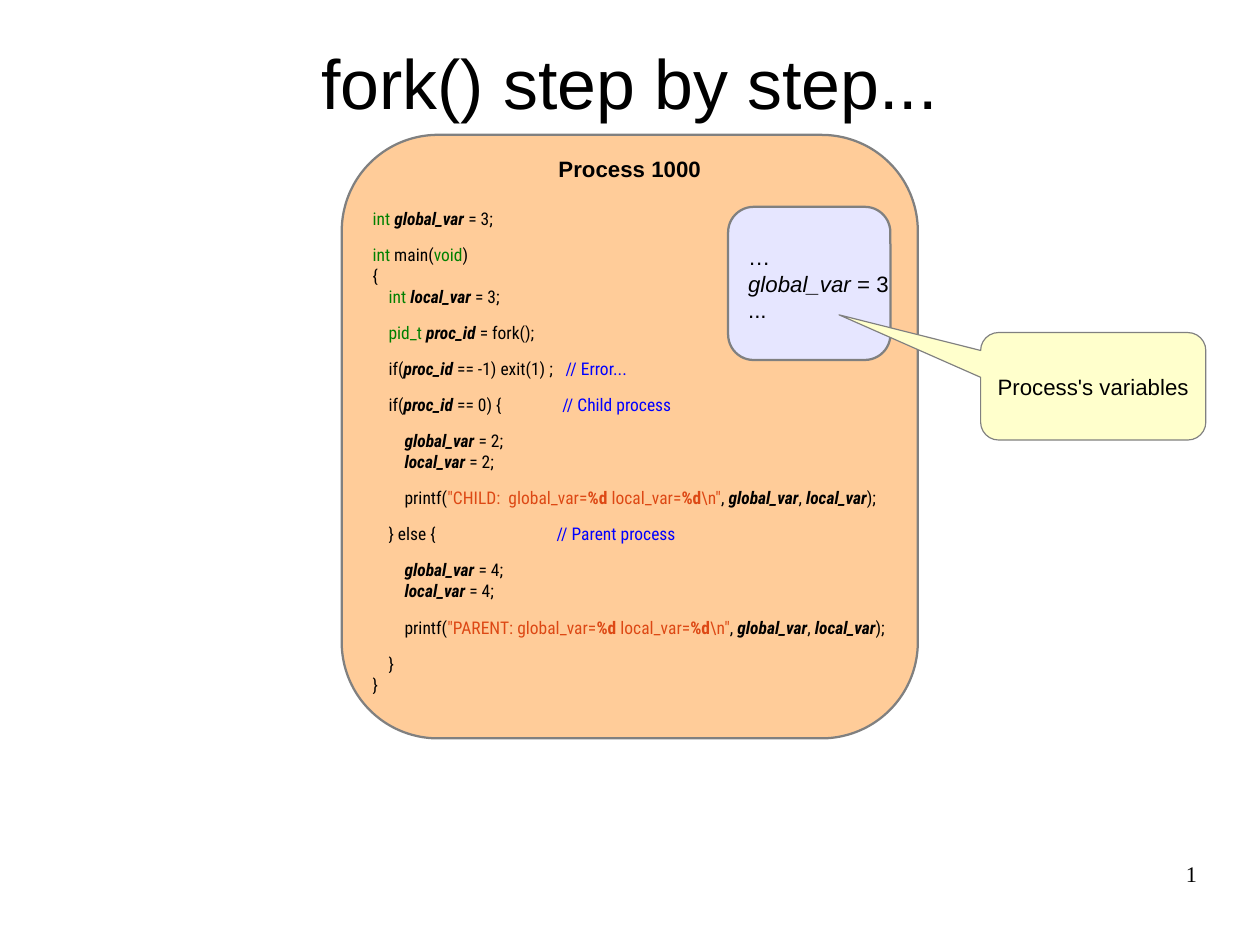
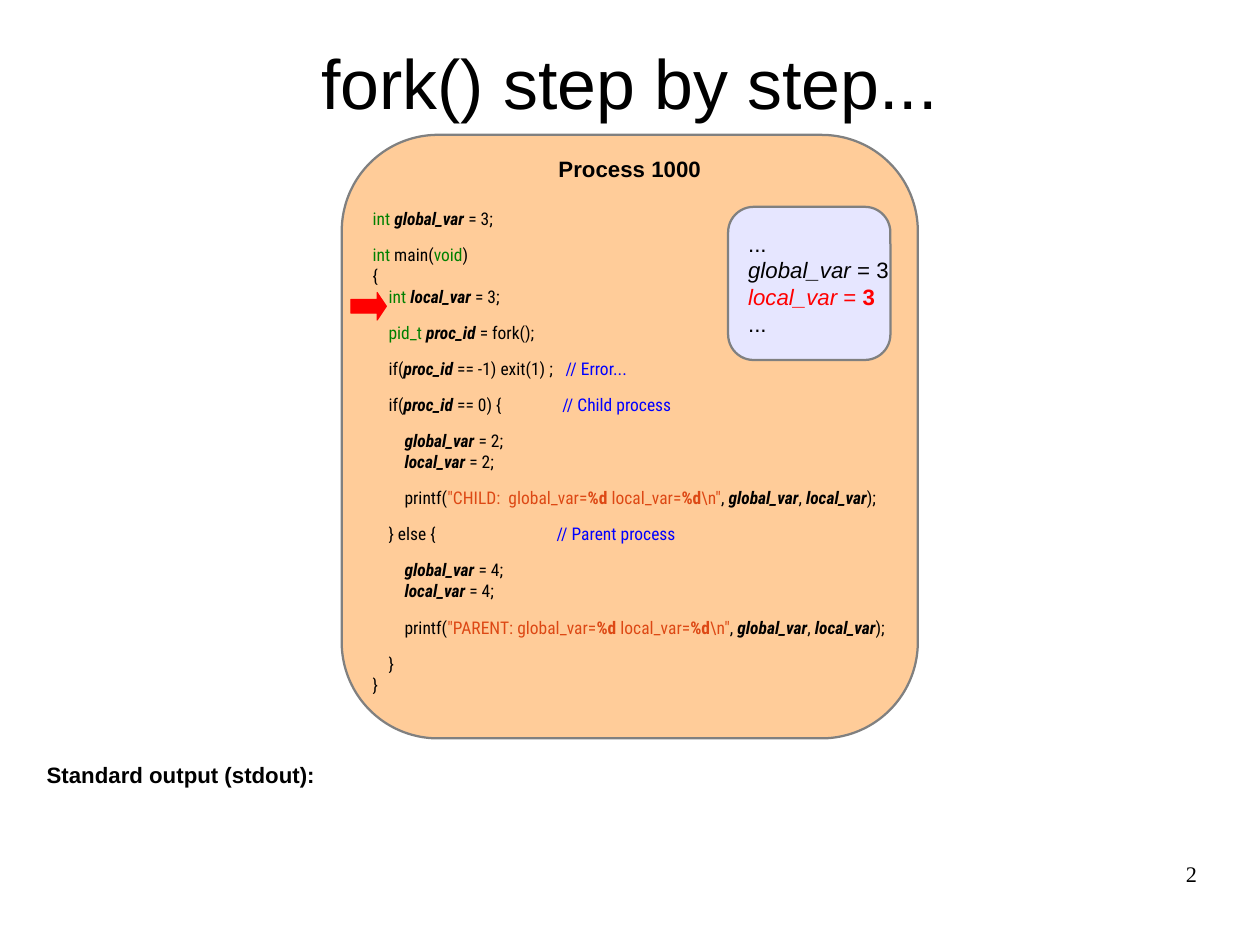
import pptx
import pptx.util
import pptx.dml.color
import pptx.enum.shapes
import pptx.enum.text
import lxml.etree

SHAPES = pptx.enum.shapes.MSO_SHAPE
ALIGN = pptx.enum.text.PP_ALIGN
ANCHOR = pptx.enum.text.MSO_ANCHOR
inch, points = pptx.util.Inches, pptx.util.Pt

# --- Shared look ---
SLIDE_WIDTH, SLIDE_HEIGHT = pptx.util.Cm(28), pptx.util.Cm(21)
WIDTH = SLIDE_WIDTH.inches
BLACK, GREY, RED = "000000", "808080", "FF0000"
ORANGE, LAVENDER, YELLOW = "FFCC99", "E6E6FF", "FFFFCC"
BODY = dict(size=14, font="Arial", color=BLACK, bold=False, italic=False)
CODE = dict(BODY, size=11, font="Roboto Condensed")
STYLES = {
    "title": dict(BODY, size=44),
    "body": BODY,
    "heading": dict(BODY, bold=True),
    "name": dict(BODY, italic=True),
    "new name": dict(BODY, italic=True, color=RED),
    "new": dict(BODY, color=RED),
    "new value": dict(BODY, bold=True, color=RED),
    "number": dict(BODY, font="Times New Roman"),
    "code": CODE,
    "type": dict(CODE, color="008000"),
    "var": dict(CODE, bold=True, italic=True),
    "comment": dict(CODE, color="0000FF"),
    "string": dict(CODE, color="DD4814"),
    "format": dict(CODE, color="DD4814", bold=True),
}

# --- Content ---
TITLE = "fork() step by step..."
PROCESS = "Process 1000"
GLOBAL, LOCAL, PROC = ("global_var", "var"), ("local_var", "var"), ("proc_id", "var")


def assign(variable, value):
    return [variable, (f" = {value};", "code")]


def print_call(label):
    return [("printf(", "code"), (f'"{label}global_var=', "string"), ("%d", "format"),
            (" local_var=", "string"), ("%d", "format"), ('\\n"', "string"),
            (", ", "code"), GLOBAL, (", ", "code"), LOCAL, (");", "code")]


# Blocks of code lines: (indent level, runs, comment, comment column)
PROGRAM = [
    [(0, [("int ", "type")] + assign(GLOBAL, 3))],
    [(0, [("int", "type"), (" main(", "code"), ("void", "type"), (")", "code")]),
     (0, [("{", "code")]),
     (1, [("int ", "type")] + assign(LOCAL, 3))],
    [(1, [("pid_t ", "type")] + assign(PROC, "fork()"))],
    [(1, [("if(", "code"), PROC, (" == -1) exit(1)\u00a0;", "code")], "// Error...", 1.69)],
    [(1, [("if(", "code"), PROC, (" == 0) {", "code")], "// Child process", 1.66)],
    [(2, assign(GLOBAL, 2)), (2, assign(LOCAL, 2))],
    [(2, print_call("CHILD:  "))],
    [(1, [("} else {", "code")], "// Parent process", 1.61)],
    [(2, assign(GLOBAL, 4)), (2, assign(LOCAL, 4))],
    [(2, print_call("PARENT: "))],
    [(1, [("}", "code")]), (0, [("}", "code")])],
]

GLOBAL_VALUE = [("global_var", "name"), (" = 3", "body")]
LOCAL_VALUE = [("local_var", "new name"), (" = ", "new"), ("3", "new value")]
DOTS = [("...", "body")]
STEPS = [
    dict(memory=[[("…", "body")], GLOBAL_VALUE, DOTS], callout="Process's variables"),
    dict(memory=[DOTS, GLOBAL_VALUE, LOCAL_VALUE, DOTS], output="Standard output (stdout):"),
]

# --- Places: left, top, width, height in inches ---
MARGIN = 0.05 * WIDTH
TITLE_BOX = (MARGIN, 0.33, 0.9 * WIDTH, 0.77)
PANEL = (2.99, 1.18, 5.04, 5.28)
CODE_PAD = 0.27
CODE_BOX = (PANEL[0] + CODE_PAD, 1.36, PANEL[2] - 2 * CODE_PAD, 4.9)
MEMORY = (6.37, 1.81, 1.42, 1.34)
CALLOUT = (8.58, 2.91, 1.97, 0.94)
ARROW = (3.07, 2.56, 0.31, 0.24)
OUTPUT = (0.31, 6.61, 0.95 * WIDTH, 1.34)
NUMBER = (WIDTH - MARGIN - 2.57, 7.53, 2.57, 0.57)
INDENT = 0.14
HEADING_GAP, BLOCK_GAP = 16.5, 9.5


# --- Helpers ---
def rgb(value):
    return pptx.dml.color.RGBColor.from_string(value)


def emu(box):
    return [inch(length) for length in box]


def set_frame(frame, pad=(0, 0), anchor=ANCHOR.TOP, wrap=True):
    frame.margin_left = frame.margin_right = inch(pad[0])
    frame.margin_top = frame.margin_bottom = inch(pad[1])
    frame.vertical_anchor = anchor
    frame.word_wrap = wrap
    frame.auto_size = pptx.enum.text.MSO_AUTO_SIZE.NONE


def write(frame, runs, align=ALIGN.LEFT, first=False, gap=0):
    paragraph = frame.paragraphs[0] if first else frame.add_paragraph()
    paragraph.alignment = align
    paragraph.space_before = points(gap)
    for text, style_name in runs:
        style = STYLES[style_name]
        run = paragraph.add_run()
        run.text = text
        run.font.size = points(style["size"])
        run.font.name = style["font"]
        run.font.bold = style["bold"]
        run.font.italic = style["italic"]
        run.font.color.rgb = rgb(style["color"])
    return paragraph


def set_tabs(paragraph, stops):
    namespace = "{http://schemas.openxmlformats.org/drawingml/2006/main}"
    tabs = lxml.etree.SubElement(paragraph._p.get_or_add_pPr(), namespace + "tabLst")
    for stop in stops:
        lxml.etree.SubElement(tabs, namespace + "tab", pos=str(inch(stop)), algn="l")


def add_box(slide, kind, box, fill, line, weight, adjustments):
    shape = slide.shapes.add_shape(kind, *emu(box))
    for index, value in enumerate(adjustments):
        shape.adjustments[index] = value
    shape.shadow.inherit = False
    shape.fill.solid()
    shape.fill.fore_color.rgb = rgb(fill)
    shape.line.color.rgb = rgb(line)
    shape.line.width = points(weight)
    return shape


def add_label(slide, box, runs, align=ALIGN.LEFT, pad=(0, 0)):
    frame = slide.shapes.add_textbox(*emu(box)).text_frame
    set_frame(frame, pad)
    write(frame, runs, align, first=True)
    return frame


# --- Parts of a slide ---
def add_title(slide):
    title = slide.shapes.title
    title.left, title.top, title.width, title.height = emu(TITLE_BOX)
    set_frame(title.text_frame, anchor=ANCHOR.MIDDLE)
    write(title.text_frame, [(TITLE, "title")], ALIGN.CENTER, first=True)


def add_process(slide):
    add_box(slide, SHAPES.ROUNDED_RECTANGLE, PANEL, ORANGE, GREY, 1.42, [0.167])
    frame = add_label(slide, CODE_BOX, [(PROCESS, "heading")], ALIGN.CENTER)
    for number, block in enumerate(PROGRAM):
        block_gap = BLOCK_GAP if number else HEADING_GAP
        for row, (level, runs, *comment) in enumerate(block):
            indent = [("\t" * level, "code")] if level else []
            remark = [("\t" + comment[0], "comment")] if comment else []
            paragraph = write(frame, indent + runs + remark, gap=0 if row else block_gap)
            if level:
                set_tabs(paragraph, [INDENT, 2 * INDENT] + comment[1:])


def add_memory(slide, lines):
    memory = add_box(slide, SHAPES.ROUNDED_RECTANGLE, MEMORY, LAVENDER, GREY, 1.42, [0.167])
    set_frame(memory.text_frame, (0.11, 0.06), ANCHOR.MIDDLE, wrap=False)
    for row, runs in enumerate(lines):
        write(memory.text_frame, runs, first=row == 0)


def add_callout(slide, text):
    callout = add_box(slide, SHAPES.ROUNDED_RECTANGULAR_CALLOUT, CALLOUT, YELLOW, GREY, 0,
                      [-1.129, -0.665, 0.167])
    set_frame(callout.text_frame, (0.1, 0.05), ANCHOR.MIDDLE, wrap=False)
    write(callout.text_frame, [(text, "body")], ALIGN.CENTER, first=True)


# --- Build ---
deck = pptx.Presentation()
deck.slide_width, deck.slide_height = SLIDE_WIDTH, SLIDE_HEIGHT
for page, step in enumerate(STEPS, 1):
    slide = deck.slides.add_slide(deck.slide_layouts[5])
    add_title(slide)
    add_process(slide)
    add_memory(slide, step["memory"])
    if "callout" in step:
        add_callout(slide, step["callout"])
    if "output" in step:
        add_label(slide, OUTPUT, [(step["output"], "heading")], pad=(0.1, 0.05))
        add_box(slide, SHAPES.RIGHT_ARROW, ARROW, RED, RED, 0, [0.5, 0.333])
    add_label(slide, NUMBER, [(str(page), "number")], ALIGN.RIGHT)
deck.save("out.pptx")
